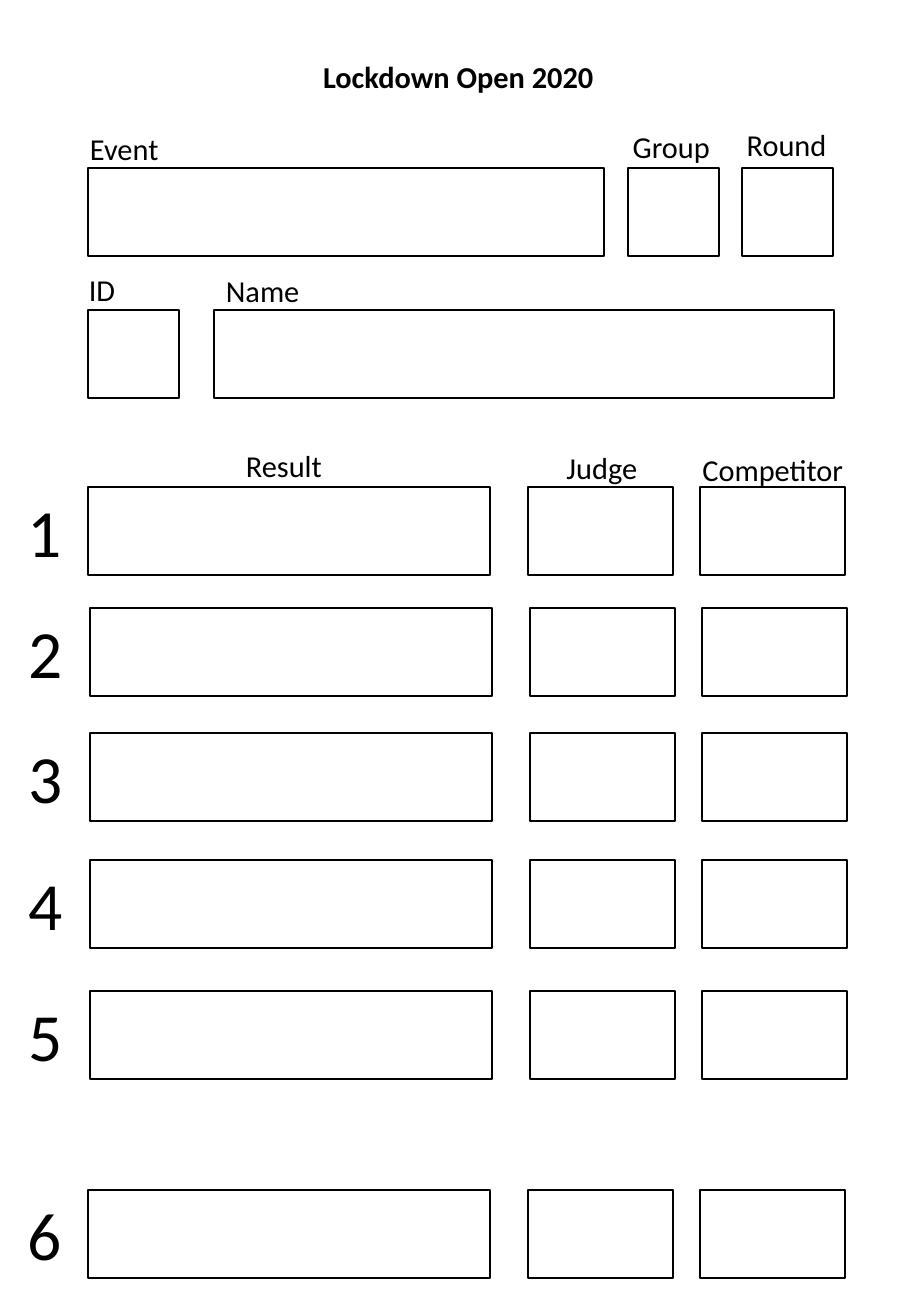
from pptx import Presentation
from pptx.dml.color import RGBColor as RGB
from pptx.enum.shapes import MSO_SHAPE as SHAPE
from pptx.enum.text import MSO_ANCHOR as ANCHOR, MSO_AUTO_SIZE as AUTO, PP_ALIGN as ALIGN
from pptx.util import Pt

PX = 914400 / 121.5
COLORS = {"ink": "000000"}
FONT = "Calibri"
BOX_H = 88
LABEL_H = 49
FIELDS = [(88, 168, 516), (628, 168, 91), (742, 168, 91), (88, 310, 91), (214, 310, 620)]
LABELS = [
    ("Event", 78, 124, 94, ALIGN.LEFT),
    ("ID", 77, 265, 51, ALIGN.LEFT),
    ("Name", 214, 266, 98, ALIGN.LEFT),
    ("Group", 621, 122, 102, ALIGN.LEFT),
    ("Round", 735, 120, 106, ALIGN.LEFT),
    ("Result", 234, 441, 101, ALIGN.LEFT),
    ("Judge", 554, 443, 96, ALIGN.CENTER),
    ("Competitor", 690, 445, 166, ALIGN.CENTER),
]
COLUMNS = [(88, 402), (528, 145), (700, 145)]
ROWS = [(487, 0), (608, 2), (733, 2), (860, 2), (991, 2), (1190, 0)]


def emu(*lengths):
    return [round(n * PX) for n in lengths]


def add_box(slide, x, y, w):
    s = slide.shapes.add_shape(SHAPE.RECTANGLE, *emu(x, y, w, BOX_H))
    s.shadow.inherit = False
    s.fill.background()
    s.line.color.rgb = RGB.from_string(COLORS["ink"])
    s.line.width = Pt(1)


def set_text(s, text, size, align=ALIGN.LEFT, bold=False):
    tf = s.text_frame
    tf.text = text
    tf.word_wrap = False
    tf.auto_size = AUTO.SHAPE_TO_FIT_TEXT
    tf.vertical_anchor = ANCHOR.TOP
    p = tf.paragraphs[0]
    p.alignment = align
    p.font.name = FONT
    p.font.size = Pt(size)
    p.font.bold = bold
    p.font.color.rgb = RGB.from_string(COLORS["ink"])


def add_title(slide, text, x, y, w, h):
    s = slide.shapes.title
    s.left, s.top, s.width, s.height = emu(x, y, w, h)
    set_text(s, text, 18, bold=True)


def add_label(slide, text, x, y, w, align):
    s = slide.shapes.add_textbox(*emu(x, y, w, LABEL_H))
    set_text(s, text, 18, align)


def add_attempt(slide, number, y, shift):
    for x, w in COLUMNS:
        add_box(slide, x + shift, y, w)
    s = slide.shapes.add_textbox(*emu(16 + shift / 2, y - 3, 60, 94))
    set_text(s, str(number), 40)


def main():
    """Build the competition score sheet."""
    prs = Presentation()
    prs.slide_width, prs.slide_height = emu(911.25, 1316)
    slide = prs.slides.add_slide(prs.slide_layouts[5])
    add_title(slide, "Lockdown Open 2020", 311, 52, 298, LABEL_H)
    for field in FIELDS:
        add_box(slide, *field)
    for number, row in enumerate(ROWS, 1):
        add_attempt(slide, number, *row)
    for label in LABELS:
        add_label(slide, *label)
    prs.save("out.pptx")


main()
